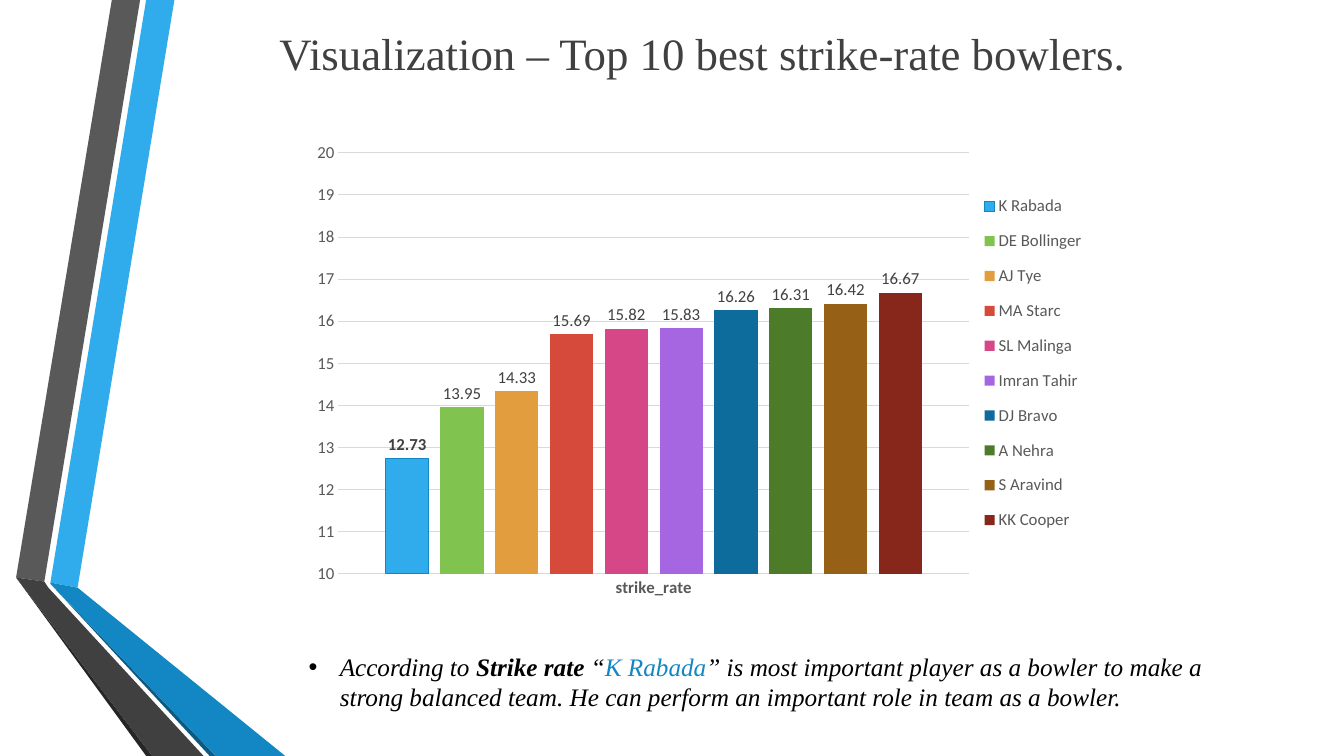
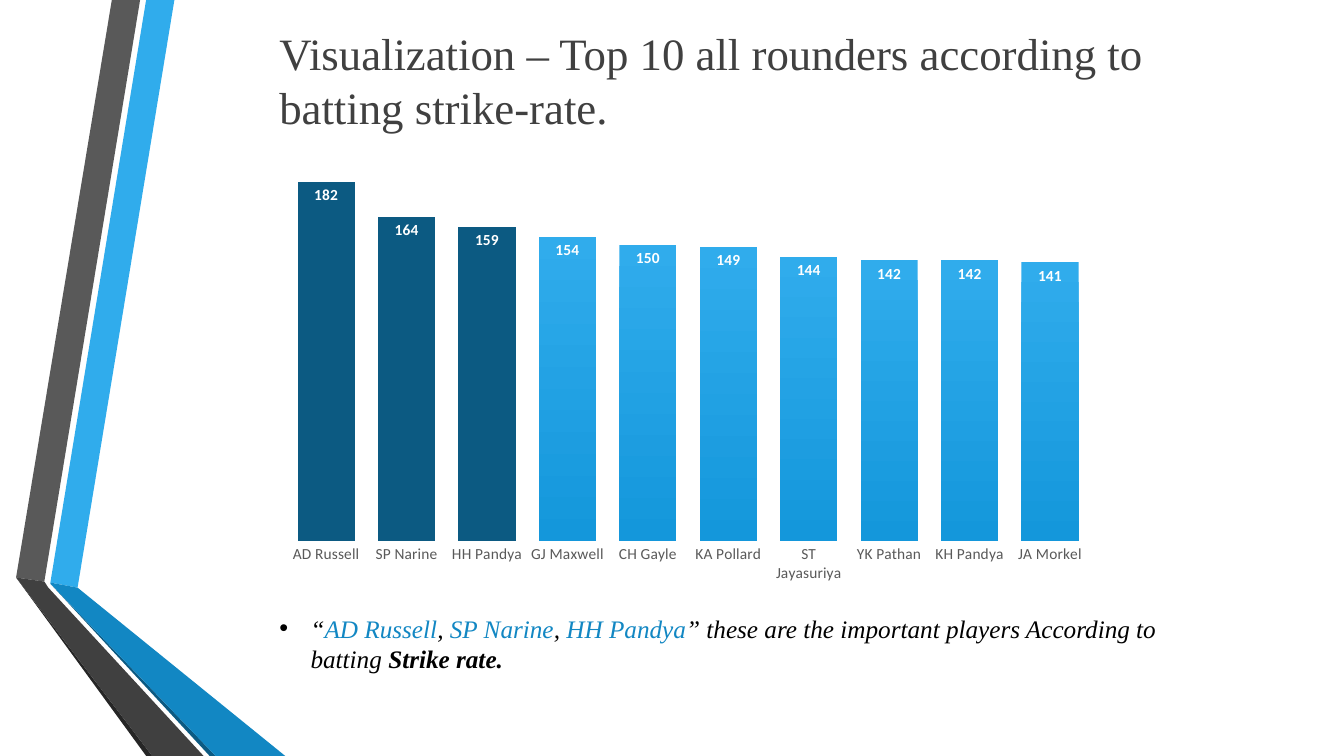
from dataclasses import dataclass

from lxml import etree
from pptx import Presentation
from pptx import util as u
from pptx.chart.data import CategoryChartData
from pptx.dml.color import RGBColor
from pptx.enum import chart as ch
from pptx.enum import text as t
from pptx.oxml.ns import qn

SERIF, SANS = "Times New Roman", "Calibri"
BLACK, WHITE, GRID = "000000", "FFFFFF", "D9D9D9"
INK, GREY = "404040", "595959"
SKY, BLUE, NAVY, AZURE = "30ACEC", "1287C3", "0C5A82", "1497DB"
INDENT = 0.31


@dataclass(frozen=True)
class Box:
    left: float
    top: float
    width: float
    height: float


@dataclass(frozen=True)
class Ribbon:
    color: str
    points: tuple


@dataclass(frozen=True)
class Span:
    text: str
    color: str = BLACK
    bold: bool = False


@dataclass(frozen=True)
class Bowler:
    name: str
    rate: float
    color: str


RIBBONS = (
    Ribbon(SKY, ((0.5, 5.78), (0.77, 5.83), (1.73, 0), (1.45, 0))),
    Ribbon(GREY, ((1.39, 0), (1.11, 0), (0.16, 5.73), (0.44, 5.77))),
    Ribbon("262626", ((0.16, 5.73), (1.45, 7.5), (1.51, 7.5))),
    Ribbon(NAVY, ((0.5, 5.79), (2.08, 7.5), (2.14, 7.5))),
    Ribbon(BLUE, ((0.5, 5.79), (2.14, 7.5), (2.83, 7.5), (0.77, 5.83), (0.5, 5.78))),
    Ribbon(INK, ((2.02, 7.5), (0.48, 5.83), (0.44, 5.77), (0.16, 5.73), (1.51, 7.5))),
)

BOWLERS = (
    Bowler("K Rabada", 12.73, SKY),
    Bowler("DE Bollinger", 13.95, "80C34F"),
    Bowler("AJ Tye", 14.33, "E29D3E"),
    Bowler("MA Starc", 15.69, "D64A3B"),
    Bowler("SL Malinga", 15.82, "D64787"),
    Bowler("Imran Tahir", 15.83, "A666E1"),
    Bowler("DJ Bravo", 16.26, "0E6C9C"),
    Bowler("A Nehra", 16.31, "4C7B2A"),
    Bowler("S Aravind", 16.42, "966117"),
    Bowler("KK Cooper", 16.67, "87271C"),
)

ALL_ROUNDERS = {
    "AD Russell": 182, "SP Narine": 164, "HH Pandya": 159, "GJ Maxwell": 154,
    "CH Gayle": 150, "KA Pollard": 149, "ST Jayasuriya": 144, "YK Pathan": 142,
    "KH Pandya": 142, "JA Morkel": 141,
}
KEY_PLAYERS = 3


def rgb(color: str) -> RGBColor:
    return RGBColor.from_string(color)


def paint(fill, color: str) -> None:
    fill.solid()
    fill.fore_color.rgb = rgb(color)


def stroke(line, color: str, width: float = 0.75) -> None:
    paint(line.fill, color)
    line.width = u.Pt(width)


def style_font(font, *, name: str = SANS, size: float = 12, color: str = INK,
               bold: bool = False, italic: bool = False) -> None:
    font.name, font.size = name, u.Pt(size)
    font.bold, font.italic = bold, italic
    font.color.rgb = rgb(color)


def add_run(p, text: str, **style) -> None:
    r = p.add_run()
    r.text = text
    style_font(r.font, **style)


def place(sp, box: Box):
    """Move a text placeholder and return its first paragraph, left-aligned."""
    sp.left, sp.top = u.Inches(box.left), u.Inches(box.top)
    sp.width, sp.height = u.Inches(box.width), u.Inches(box.height)
    tf = sp.text_frame
    tf.word_wrap = True
    tf.auto_size = t.MSO_AUTO_SIZE.SHAPE_TO_FIT_TEXT
    tf.vertical_anchor = t.MSO_ANCHOR.TOP
    p = tf.paragraphs[0]
    p.alignment = t.PP_ALIGN.LEFT
    p.space_before = u.Pt(0)
    return p


def draw_ribbon(s, ribbon: Ribbon) -> None:
    points = [(u.Inches(x), u.Inches(y)) for x, y in ribbon.points]
    builder = s.shapes.build_freeform(*points[0], scale=1.0)
    builder.add_line_segments(points[1:], close=True)
    sp = builder.convert_to_shape()
    sp.shadow.inherit = False
    paint(sp.fill, ribbon.color)
    sp.line.fill.background()


def add_slide(prs, title: str, title_height: float, note_box: Box, note: list[Span]):
    s = prs.slides.add_slide(prs.slide_layouts[1])
    for ribbon in RIBBONS:
        draw_ribbon(s, ribbon)
    p = place(s.shapes.title, Box(2.67, 0.21, 10.11, title_height))
    add_run(p, title, name=SERIF, size=32)
    p = place(s.placeholders[1], note_box)
    pPr = p._p.get_or_add_pPr()
    pPr.set("marL", str(u.Inches(INDENT)))
    pPr.set("indent", str(-u.Inches(INDENT)))
    for span in note:
        add_run(p, span.text, name=SERIF, size=18, color=span.color,
                bold=span.bold, italic=True)
    return s


def set_layout(parent, index: int, box: Box, inner: bool = False) -> None:
    """Fix a chart part's position, given as fractions of the chart."""
    for old in parent.findall(qn("c:layout")):
        parent.remove(old)
    layout = etree.Element(qn("c:layout"))
    manual = etree.SubElement(layout, qn("c:manualLayout"))
    values = {"xMode": "edge", "yMode": "edge", "x": box.left, "y": box.top,
              "w": box.width, "h": box.height}
    if inner:
        values = {"layoutTarget": "inner", **values}
    for tag, value in values.items():
        etree.SubElement(manual, qn(f"c:{tag}")).set("val", str(value))
    parent.insert(index, layout)


def add_columns(s, data: CategoryChartData, box: Box, plot_box: Box, *, gap: int,
                overlap: int, low: float, high: float, size: float, bold_axis: bool):
    chart = s.shapes.add_chart(
        ch.XL_CHART_TYPE.COLUMN_CLUSTERED, u.Inches(box.left), u.Inches(box.top),
        u.Inches(box.width), u.Inches(box.height), data).chart
    chart.has_title = chart.has_legend = False
    style_font(chart.font, size=size, color=BLACK)
    plot = chart.plots[0]
    plot.gap_width, plot.overlap = gap, overlap
    plot.vary_by_categories = False
    chart.value_axis.minimum_scale, chart.value_axis.maximum_scale = low, high
    for axis in (chart.category_axis, chart.value_axis):
        axis.major_tick_mark = axis.minor_tick_mark = ch.XL_TICK_MARK.NONE
        axis.format.line.fill.background()
        style_font(axis.tick_labels.font, size=size, color=GREY)
    chart.category_axis.tick_labels.font.bold = bold_axis
    set_layout(chart.element.xpath(".//c:plotArea")[0], 0, plot_box, inner=True)
    return chart


def show_values(series, position, **style) -> None:
    labels = series.data_labels
    labels.show_value = True
    labels.position = position
    style_font(labels.font, **style)


def add_bowler_chart(s) -> None:
    data = CategoryChartData()
    data.categories = ["strike_rate"]
    for bowler in BOWLERS:
        data.add_series(bowler.name, [bowler.rate])
    chart = add_columns(s, data, Box(2.96, 1.33, 7.92, 4.69), Box(0.05, 0.04, 0.79, 0.89),
                        gap=219, overlap=-27, low=10, high=20, size=12, bold_axis=True)
    stroke(chart.category_axis.format.line, GRID)
    chart.value_axis.major_unit = 1
    stroke(chart.value_axis.major_gridlines.format.line, GRID)
    chart.has_legend = True
    chart.legend.position = ch.XL_LEGEND_POSITION.RIGHT
    chart.legend.include_in_layout = False
    style_font(chart.legend.font, color=GREY)
    set_layout(chart.element.xpath(".//c:legend")[0], 1, Box(0.85, 0.1, 0.14, 0.77))
    for i, (series, bowler) in enumerate(zip(chart.plots[0].series, BOWLERS)):
        paint(series.format.fill, bowler.color)
        show_values(series, ch.XL_LABEL_POSITION.OUTSIDE_END, bold=i == 0)
    stroke(chart.plots[0].series[0].format.line, BLUE)


def add_all_rounder_chart(s) -> None:
    data = CategoryChartData()
    data.categories = list(ALL_ROUNDERS)
    data.add_series("Series 1", list(ALL_ROUNDERS.values()))
    chart = add_columns(s, data, Box(2.67, 1.36, 8.31, 4.5), Box(0.02, 0.02, 0.96, 0.87),
                        gap=41, overlap=0, low=0, high=200, size=11, bold_axis=False)
    chart.value_axis.has_major_gridlines = False
    chart.value_axis.visible = False
    series = chart.plots[0].series[0]
    fill = series.format.fill
    fill.gradient()
    fill.gradient_angle = 270
    for stop, position, color in zip(fill.gradient_stops, (0, 1), (SKY, AZURE)):
        stop.position = position
        stop.color.rgb = rgb(color)
    for i in range(KEY_PLAYERS):
        paint(series.points[i].format.fill, NAVY)
    show_values(series, ch.XL_LABEL_POSITION.INSIDE_END, size=11, color=WHITE, bold=True)


def main() -> None:
    prs = Presentation()
    prs.slide_width, prs.slide_height = u.Inches(13.33), u.Inches(7.5)

    s = add_slide(
        prs, "Visualization – Top 10 best strike-rate bowlers.", 0.64,
        Box(2.96, 6.41, 9.65, 0.71),
        [Span("According to "), Span("Strike rate", bold=True), Span(" “"),
         Span("K Rabada", BLUE),
         Span("” is most important player as a bowler to make a strong balanced team. "
              "He can perform an important role in team as a bowler.")])
    add_bowler_chart(s)

    s = add_slide(
        prs, "Visualization – Top 10 all rounders according to batting strike-rate.", 1.18,
        Box(2.67, 6.03, 9.65, 0.71),
        [Span("“"), Span("AD Russell", BLUE), Span(", "), Span("SP Narine", BLUE),
         Span(", "), Span("HH Pandya", BLUE),
         Span("” these are the important players According to batting "),
         Span("Strike rate.", bold=True)])
    add_all_rounder_chart(s)

    prs.save("out.pptx")


if __name__ == "__main__":
    main()
